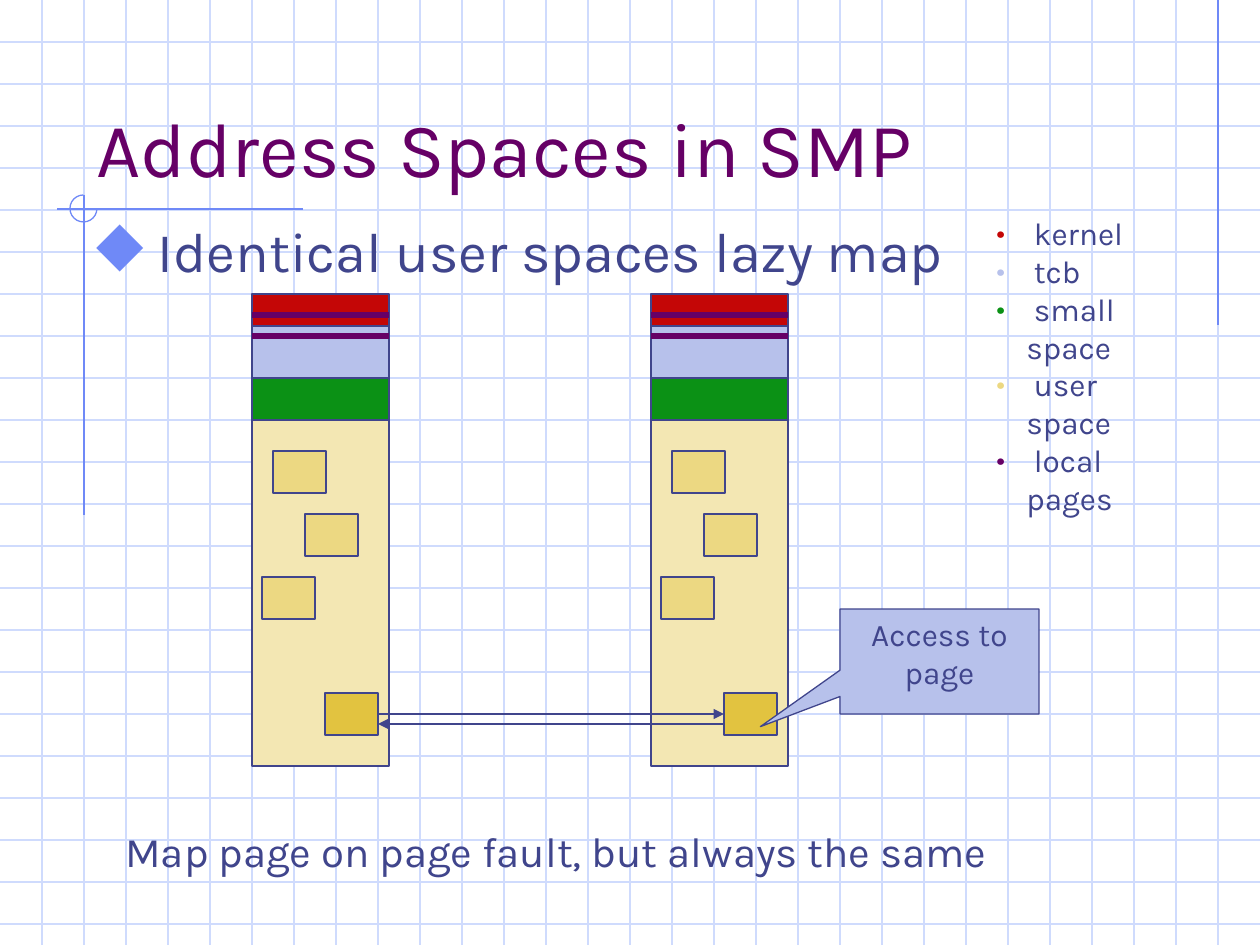
"""Build the slide on address spaces in SMP."""
from dataclasses import dataclass
from typing import NamedTuple

from lxml import etree
from pptx import Presentation
from pptx.dml.color import RGBColor
from pptx.enum.shapes import MSO_CONNECTOR, MSO_SHAPE
from pptx.enum.text import MSO_ANCHOR, MSO_AUTO_SIZE, PP_ALIGN
from pptx.oxml.ns import qn
from pptx.util import Emu, Pt

STRAIGHT = MSO_CONNECTOR.STRAIGHT
RECTANGLE, ARC, CALLOUT = MSO_SHAPE.RECTANGLE, MSO_SHAPE.ARC, MSO_SHAPE.RECTANGULAR_CALLOUT
LEFT, CENTER = PP_ALIGN.LEFT, PP_ALIGN.CENTER
TOP, BOTTOM = MSO_ANCHOR.TOP, MSO_ANCHOR.BOTTOM
NO_FIT = MSO_AUTO_SIZE.NONE

PX_PER_INCH = 126
SLIDE_WIDTH, SLIDE_HEIGHT, GRID_STEP = 1260, 945, 42


@dataclass(frozen=True)
class Theme:
    """Fonts, colours, type sizes and line widths of the slide."""
    font: str = "Karla"
    symbol_font: str = "OpenSymbol"
    grid: str = "CFDBFD"
    accent: str = "6F89F7"
    ink: str = "40458C"
    purple: str = "660066"
    kernel: str = "C40606"
    tcb: str = "B7C1EB"
    small: str = "0B9115"
    user: str = "F3E7B3"
    page: str = "ECD882"
    shared: str = "E2C340"
    title_size: int = 44
    body_size: int = 32
    note_size: int = 24
    label_size: int = 18
    thin: float = 0.75
    thick: float = 3


THEME = Theme()


class Area(NamedTuple):
    """A rectangle in px."""
    left: int
    top: int
    width: int
    height: int


class Bullet(NamedTuple):
    """A bullet mark with its hanging indent in px."""
    mark: str
    color: str
    hang: int
    percent: int = 100
    font: str = THEME.font


class Legend(NamedTuple):
    """A legend entry."""
    text: str
    color: str


TOWER_LEFTS = (252, 651)
TOWER_WIDTH = 137
BANDS = (
    (294, 32, THEME.kernel),
    (326, 52, THEME.tcb),
    (378, 42, THEME.small),
    (420, 346, THEME.user),
)
LOCAL_PAGE_TOPS = (315, 336)
USER_PAGES = (
    (21, 451, THEME.page),
    (53, 514, THEME.page),
    (10, 577, THEME.page),
    (73, 693, THEME.shared),
)
PAGE_WIDTH, PAGE_HEIGHT = 53, 42
LEGEND = (
    Legend("kernel", THEME.kernel),
    Legend("tcb", THEME.tcb),
    Legend("small space", THEME.small),
    Legend("user space", THEME.page),
    Legend("local pages", THEME.purple),
)


def px(length: int) -> Emu:
    """Turn px into EMU."""
    return Emu(round(length * 914400 / PX_PER_INCH))


def place(area: Area) -> tuple:
    """Turn an area into EMU lengths."""
    return tuple(px(length) for length in area)


def rgb(color: str) -> RGBColor:
    """Turn a hex string into a colour."""
    return RGBColor.from_string(color)


def add_line(page, start: tuple, end: tuple, color: str, width: float = THEME.thin,
             arrow: bool = False):
    """Draw a straight line, with an arrowhead at its end if asked."""
    line = page.shapes.add_connector(STRAIGHT, *(px(value) for value in start + end))
    line.line.color.rgb = rgb(color)
    line.line.width = Pt(width)
    properties = line.element.spPr
    if arrow:
        etree.SubElement(properties.find(qn("a:ln")), qn("a:tailEnd"), type="triangle")
    etree.SubElement(properties, qn("a:effectLst"))


def add_figure(page, kind, area: Area, fill: str | None, outline: str = THEME.ink):
    """Draw a preset shape with a thin outline."""
    figure = page.shapes.add_shape(kind, *place(area))
    figure.shadow.inherit = False
    if fill:
        figure.fill.solid()
        figure.fill.fore_color.rgb = rgb(fill)
    else:
        figure.fill.background()
    figure.line.color.rgb = rgb(outline)
    figure.line.width = Pt(THEME.thin)
    return figure


def add_box(page, area: Area, wrap: bool = True):
    """Add a text box and return its text frame."""
    frame = page.shapes.add_textbox(*place(area)).text_frame
    frame.word_wrap = wrap
    return frame


def write(frame, text: str, *, size: int, color: str = THEME.ink, align=LEFT, anchor=TOP,
          before: int = 0, bullet: Bullet | None = None):
    """Write one formatted paragraph into a text frame."""
    frame.auto_size = NO_FIT
    frame.vertical_anchor = anchor
    para = frame.paragraphs[0] if not frame.text else frame.add_paragraph()
    para.alignment = align
    para.space_before = Pt(before)
    span = para.add_run()
    span.text = text
    span.font.name = THEME.font
    span.font.size = Pt(size)
    span.font.color.rgb = rgb(color)
    if bullet:
        properties = para._p.get_or_add_pPr()
        properties.set("marL", str(px(bullet.hang)))
        properties.set("indent", str(-px(bullet.hang)))
        tint = etree.SubElement(properties, qn("a:buClr"))
        etree.SubElement(tint, qn("a:srgbClr"), val=bullet.color)
        etree.SubElement(properties, qn("a:buSzPct"), val=str(bullet.percent * 1000))
        etree.SubElement(properties, qn("a:buFont"), typeface=bullet.font)
        etree.SubElement(properties, qn("a:buChar"), char=bullet.mark)


def draw_backdrop(page):
    """Draw the grid and the accent lines."""
    for top in range(GRID_STEP, SLIDE_HEIGHT, GRID_STEP):
        add_line(page, (0, top), (SLIDE_WIDTH, top), THEME.grid)
    for left in range(GRID_STEP, SLIDE_WIDTH, GRID_STEP):
        add_line(page, (left, 0), (left, SLIDE_HEIGHT), THEME.grid)
    add_line(page, (1218, 0), (1218, 325), THEME.accent)
    add_line(page, (303, 209), (57, 209), THEME.accent)
    add_line(page, (84, 195), (84, 515), THEME.accent)
    ring = add_figure(page, ARC, Area(70, 195, 27, 27), None, THEME.accent)
    ring.adjustments[0], ring.adjustments[1] = 0, 162


def draw_tower(page, left: int):
    """Draw one address space with its bands and pages."""
    for top, height, color in BANDS:
        add_figure(page, RECTANGLE, Area(left, top, TOWER_WIDTH, height), color)
    for top in LOCAL_PAGE_TOPS:
        add_line(page, (left, top), (left + TOWER_WIDTH, top), THEME.purple, THEME.thick)
    for offset, top, color in USER_PAGES:
        add_figure(page, RECTANGLE, Area(left + offset, top, PAGE_WIDTH, PAGE_HEIGHT), color)


def main():
    """Build and save the deck."""
    deck = Presentation()
    deck.slide_width, deck.slide_height = px(SLIDE_WIDTH), px(SLIDE_HEIGHT)
    page = deck.slides.add_slide(deck.slide_layouts[5])
    draw_backdrop(page)
    for left in TOWER_LEFTS:
        draw_tower(page, left)
    title = page.shapes.title
    title.left, title.top, title.width, title.height = place(Area(84, 42, 1071, 157))
    write(title.text_frame, "Address Spaces in SMP", size=THEME.title_size,
          color=THEME.purple, anchor=BOTTOM)
    title.element.getparent().append(title.element)
    write(add_box(page, Area(84, 210, 1071, 567)), " Identical user spaces lazy map",
          size=THEME.body_size, before=8,
          bullet=Bullet("◆", THEME.accent, 48, 110, THEME.symbol_font))
    legend = add_box(page, Area(984, 208, 217, 202))
    for entry in LEGEND:
        write(legend, f" {entry.text}", size=THEME.label_size,
              bullet=Bullet("•", entry.color, 30))
    write(add_box(page, Area(113, 819, 921, 63), wrap=False),
          "Map page on page fault, but always the same", size=THEME.note_size)
    callout = add_figure(page, CALLOUT, Area(840, 609, 199, 105), THEME.tcb)
    callout.adjustments[0], callout.adjustments[1] = -0.9, 0.62
    write(callout.text_frame, "Access to page", size=THEME.label_size, align=CENTER)
    add_line(page, (378, 714), (724, 714), THEME.ink, arrow=True)
    add_line(page, (724, 724), (378, 724), THEME.ink, arrow=True)
    deck.save("out.pptx")


if __name__ == "__main__":
    main()
